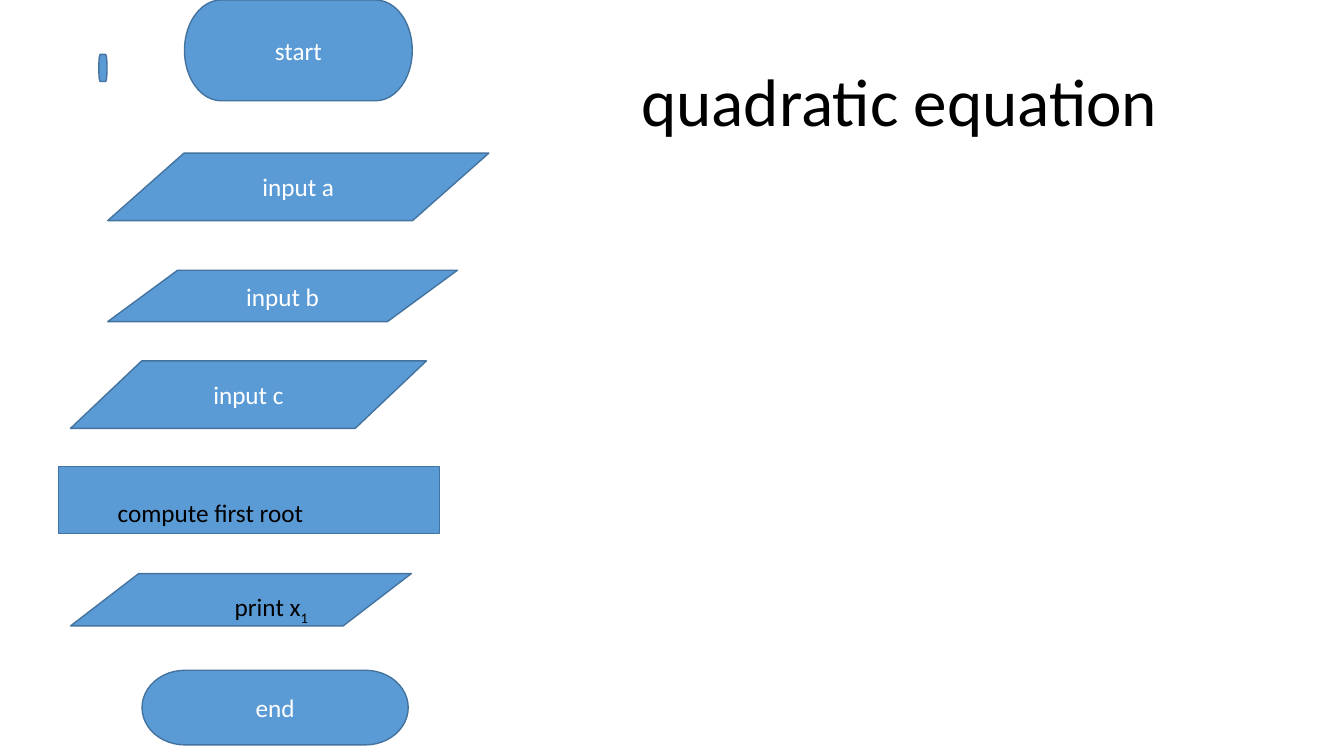
import dataclasses

import pptx
import pptx.dml.color
import pptx.enum.shapes
import pptx.enum.text
import pptx.util

Pt = pptx.util.Pt
Color = pptx.dml.color.RGBColor.from_string
Align = pptx.enum.text.PP_ALIGN
Anchor = pptx.enum.text.MSO_ANCHOR
AutoSize = pptx.enum.text.MSO_AUTO_SIZE
Preset = pptx.enum.shapes.MSO_SHAPE


@dataclasses.dataclass(frozen=True)
class Theme:
    font: str = "Calibri"
    fill: str = "5B9BD5"
    outline: str = "43739E"
    light: str = "FFFFFF"
    dark: str = "000000"
    body_size: int = 18
    title_size: int = 48


THEME = Theme()

TERMINATOR = Preset.FLOWCHART_TERMINATOR
DATA = Preset.FLOWCHART_DATA
PROCESS = Preset.FLOWCHART_PROCESS

# Flowchart steps: preset, (left, top, width, height), label
STEPS = [
    (TERMINATOR, (70.6, 38.9, 5.8, 19.4), ""),
    (TERMINATOR, (131.8, 0, 162.7, 72), "start"),
    (DATA, (77, 109.4, 272.2, 48.2), "input a"),
    (DATA, (77, 193, 249.8, 36.7), "input b"),
    (DATA, (50.4, 257.8, 254.2, 48.2), "input c"),
    (PROCESS, (41.8, 333.4, 272.2, 47.5), ""),
    (DATA, (50.4, 409.7, 243.4, 37.4), ""),
    (TERMINATOR, (101.5, 478.8, 190.1, 53.3), "end"),
]

# Labels laid over steps: (left, top, width, height), text, subscript
CAPTIONS = [
    ((77, 351.4, 151.2, 28.8), "compute first root", ""),
    ((160.6, 419, 67.7, 28.8), "print x", "1"),
]


def write_text(frame, text, *, size=THEME.body_size, color=THEME.dark,
               align=Align.LEFT, anchor=Anchor.TOP, wrap=False, subscript=""):
    frame.word_wrap = wrap
    frame.auto_size = AutoSize.NONE
    frame.vertical_anchor = anchor
    para = frame.paragraphs[0]
    para.alignment = align
    para.line_spacing = 1.0
    for part in filter(None, (text, subscript)):
        span = para.add_run()
        span.text = part
        span.font.name = THEME.font
        span.font.size = Pt(size)
        span.font.color.rgb = Color(color)
    if subscript:
        span.font._element.set("baseline", "-25000")


def add_step(page, preset, bounds, label):
    step = page.shapes.add_shape(preset, *map(Pt, bounds))
    step.shadow.inherit = False
    step.fill.solid()
    step.fill.fore_color.rgb = Color(THEME.fill)
    step.line.color.rgb = Color(THEME.outline)
    step.line.width = Pt(1)
    if label:
        write_text(step.text_frame, label, color=THEME.light,
                   align=Align.CENTER, anchor=Anchor.MIDDLE, wrap=True)


def add_caption(page, bounds, text, subscript):
    box = page.shapes.add_textbox(*map(Pt, bounds))
    write_text(box.text_frame, text, subscript=subscript)


def set_title(page, bounds, text):
    title = page.shapes.title
    title.left, title.top, title.width, title.height = map(Pt, bounds)
    write_text(title.text_frame, text, size=THEME.title_size)


def main():
    deck = pptx.Presentation()
    deck.slide_width, deck.slide_height = Pt(960), Pt(540)
    title_only = deck.slide_layouts[5]
    page = deck.slides.add_slide(title_only)

    # Heading
    set_title(page, (450.7, 38.9, 383.8, 123.8), "quadratic equation")

    # Flowchart
    for step in STEPS:
        add_step(page, *step)
    for caption in CAPTIONS:
        add_caption(page, *caption)

    deck.save("out.pptx")


if __name__ == "__main__":
    main()
